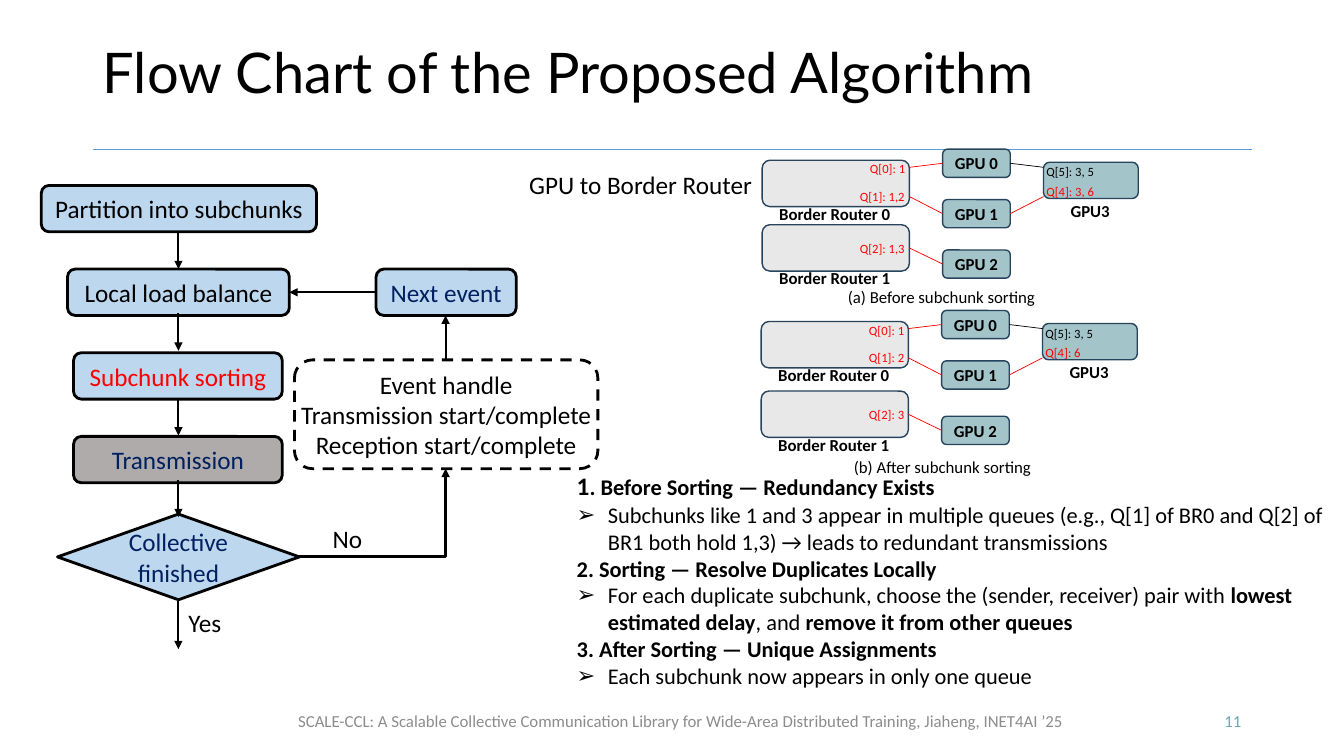
from typing import NamedTuple, Optional

from lxml import etree
from pptx import Presentation
from pptx import util as u
from pptx.dml.color import RGBColor
from pptx.enum import dml, shapes, text
from pptx.oxml.ns import qn

BLACK = RGBColor(0x00, 0x00, 0x00)
WHITE = RGBColor(0xFF, 0xFF, 0xFF)
RED = RGBColor(0xFF, 0x00, 0x00)
NAVY = RGBColor(0x00, 0x20, 0x60)
SKY = RGBColor(0xBD, 0xD7, 0xEE)
GRAY = RGBColor(0xAF, 0xAB, 0xAB)
PALE = RGBColor(0xE8, 0xE8, 0xE8)
TEAL = RGBColor(0xA3, 0xC4, 0xC9)
EDGE = RGBColor(0x28, 0x44, 0x5D)
RULE = RGBColor(0x5B, 0x9B, 0xD5)
FOOT = RGBColor(0x8C, 0x8C, 0x8C)
PAGE = RGBColor(0x6D, 0xA4, 0xBB)

ROUND = shapes.MSO_SHAPE.ROUNDED_RECTANGLE
DIAMOND = shapes.MSO_SHAPE.DIAMOND
LEFT, MID, RIGHT = text.PP_ALIGN.LEFT, text.PP_ALIGN.CENTER, text.PP_ALIGN.RIGHT


class Node(NamedTuple):
    words: str
    box: tuple
    ink: RGBColor = BLACK
    fill: RGBColor = SKY
    form: int = ROUND
    edge: RGBColor = BLACK
    width: float = 2
    size: float = 18
    bold: bool = False
    dash: bool = False


class Link(NamedTuple):
    start: tuple
    end: tuple
    ink: RGBColor = BLACK
    width: float = 1.5
    arrow: bool = True
    bent: bool = False


class Note(NamedTuple):
    words: str
    box: tuple
    size: float = 18
    ink: RGBColor = BLACK
    bold: bool = False
    align: int = LEFT
    fit: bool = True


class Panel(NamedTuple):
    left: float
    top: float
    gap: float
    queues: tuple
    peer: str


def add_run(para, words: str, size: float, ink: RGBColor = BLACK,
            bold: bool = False, face: str = "Calibri") -> None:
    run = para.add_run()
    run.text = words
    font = run.font
    font.name, font.size, font.bold = face, u.Pt(size), bold
    font.color.rgb = ink


def inches(box: tuple) -> list:
    return [u.Inches(v) for v in box]


def draw_node(slide, node: Node) -> None:
    shape = slide.shapes.add_shape(node.form, *inches(node.box))
    shape.shadow.inherit = False
    shape.fill.solid()
    shape.fill.fore_color.rgb = node.fill
    shape.line.color.rgb = node.edge
    shape.line.width = u.Pt(node.width)
    if node.dash:
        shape.line.dash_style = dml.MSO_LINE.DASH
    if not node.words:
        return
    frame = shape.text_frame
    frame.word_wrap = True
    frame.vertical_anchor = text.MSO_ANCHOR.MIDDLE
    frame.margin_left = frame.margin_right = frame.margin_top = frame.margin_bottom = 0
    for i, words in enumerate(node.words.split("\n")):
        para = frame.add_paragraph() if i else frame.paragraphs[0]
        para.alignment = MID
        add_run(para, words, node.size, node.ink, node.bold)


def draw_link(slide, link: Link) -> None:
    line = slide.shapes.add_connector(
        shapes.MSO_CONNECTOR.ELBOW if link.bent else shapes.MSO_CONNECTOR.STRAIGHT,
        *inches(link.start + link.end))
    line.line.color.rgb = link.ink
    line.line.width = u.Pt(link.width)
    props = line._element.spPr
    if link.bent:
        props.find(qn("a:prstGeom")).set("prst", "bentConnector2")
    if link.arrow:
        etree.SubElement(props.find(qn("a:ln")), qn("a:tailEnd"), type="triangle")
    etree.SubElement(props, qn("a:effectLst"))


def draw_note(slide, note: Note) -> None:
    frame = slide.shapes.add_textbox(*inches(note.box)).text_frame
    frame.word_wrap = not note.fit
    if note.fit:
        frame.auto_size = text.MSO_AUTO_SIZE.SHAPE_TO_FIT_TEXT
    else:
        frame.vertical_anchor = text.MSO_ANCHOR.MIDDLE
    para = frame.paragraphs[0]
    para.alignment = note.align
    add_run(para, note.words, note.size, note.ink, note.bold)


def draw_panel(slide, panel: Panel) -> None:
    x, y = panel.left, panel.top
    low = y + panel.gap
    hub, mate = x + 1.46, x + 2.79

    # Routers, then GPUs with their links to the routers
    for i, top in enumerate((y, low)):
        draw_node(slide, Node("", (x, top, 1.46, 0.46), fill=PALE, edge=EDGE, width=1))
        draw_note(slide, Note(f"Border Router {i}", (x + 0.07, top + 0.38, 1.32, 0.3), 12, bold=True))
    ports = (y + 0.07, y + 0.36, low + 0.23)
    for i, (top, port) in enumerate(zip((y - 0.11, y + 0.39, low + 0.25), ports)):
        draw_node(slide, Node(f"GPU {i}", (x + 1.79, top, 0.67, 0.28), fill=TEAL,
                              edge=EDGE, width=1, size=12, bold=True))
        draw_link(slide, Link((hub, port), (x + 1.79, top + 0.14), RED, 0.5, False))

    # Peer GPU
    draw_node(slide, Node("", (mate, y + 0.02, 0.94, 0.36), fill=TEAL, edge=EDGE, width=1))
    draw_note(slide, Note("GPU3", (x + 2.96, y + 0.35, 0.59, 0.3), 12, bold=True))
    draw_link(slide, Link((x + 2.46, y + 0.03), (mate, y + 0.07), BLACK, 0.5, False))
    draw_link(slide, Link((x + 2.46, y + 0.53), (mate, y + 0.36), RED, 0.5, False))

    # Queue labels
    for words, top in zip(panel.queues, (y - 0.04, y + 0.23, low + 0.11)):
        wide = 0.2 + 0.05 * len(words)
        draw_note(slide, Note(words, (x + 1.52 - wide, top, wide, 0.25), 9, RED))
    for words, top, ink in (("Q[5]: 3, 5", y - 0.01, BLACK), (panel.peer, y + 0.18, RED)):
        wide = 0.2 + 0.05 * len(words)
        draw_note(slide, Note(words, (x + 2.72, top, wide, 0.25), 9, ink))


def fill_list(body, items: tuple) -> None:
    frame = body.text_frame
    frame.word_wrap = True
    frame.auto_size = text.MSO_AUTO_SIZE.NONE
    for i, (mark, runs) in enumerate(items):
        para = frame.add_paragraph() if i else frame.paragraphs[0]
        props = para._p.get_or_add_pPr()
        shift = u.Inches(0.31) if mark else 0
        props.set("marL", str(shift))
        props.set("indent", str(-shift))
        if mark:
            etree.SubElement(props, qn("a:buChar"), char=mark)
        else:
            etree.SubElement(props, qn("a:buNone"))
        para.space_before = u.Pt(0)
        for words, size, bold in runs:
            add_run(para, words, size, bold=bold)


FLOW = (
    Node("Partition into subchunks", (0.41, 1.84, 2.73, 0.46)),
    Node("Local load balance", (0.67, 2.67, 2.2, 0.46)),
    Node("Subchunk sorting", (0.73, 3.5, 2.07, 0.46), RED),
    Node("Event handle\nTransmission start/complete\nReception start/complete",
         (2.92, 3.57, 3.01, 1.08), fill=WHITE, dash=True),
    Node("Next event", (3.73, 2.67, 1.39, 0.46), NAVY),
    Node("Collective finished", (0.57, 5.1, 2.4, 0.85), NAVY, form=DIAMOND),
    Node("Transmission", (0.73, 4.33, 2.07, 0.46), NAVY, GRAY),
)
LINKS = tuple(Link((1.77, top), (1.77, top + 0.37)) for top in (2.3, 3.11, 3.95, 4.76)) + (
    Link((1.77, 5.94), (1.77, 6.44)),
    Link((2.97, 5.52), (4.42, 4.65), width=2, bent=True),
    Link((4.42, 3.58), (4.42, 3.13)),
    Link((3.73, 2.9), (2.87, 2.9)),
)
NOTES = (
    Note("Yes", (1.77, 5.98, 0.53, 0.4)),
    Note("No", (3.2, 5.14, 0.5, 0.4)),
    Note("GPU to Border Router", (5.15, 1.63, 2.44, 0.4)),
    Note("(a) Before subchunk sorting", (8.31, 2.8, 2.08, 0.3), 12),
    Note("(b) After subchunk sorting", (8.37, 4.48, 1.98, 0.3), 12),
    Note("SCALE-CCL: A Scalable Collective Communication Library for Wide-Area Distributed "
         "Training, Jiaheng, INET4AI ’25", (1.98, 6.95, 9.55, 0.4), 12, FOOT, align=MID, fit=False),
    Note("11", (11.53, 6.95, 0.88, 0.4), 12, PAGE, align=RIGHT, fit=False),
)
PANELS = (
    Panel(7.56, 1.59, 0.64, ("Q[0]: 1", "Q[1]: 1,2", "Q[2]: 1,3"), "Q[4]: 3, 6"),
    Panel(7.55, 3.19, 0.69, ("Q[0]: 1", "Q[1]: 2", "Q[2]: 3"), "Q[4]: 6"),
)
MARK: Optional[str] = "➢"
STEPS = (
    (None, (("1", 18, True), (". Before Sorting — Redundancy Exists", 16, True))),
    (MARK, (("Subchunks like 1 and 3 appear in multiple queues (e.g., Q[1] of BR0 and Q[2] of BR1 "
             "both hold 1,3) → leads to redundant transmissions", 16, False),)),
    (None, (("2. Sorting — Resolve Duplicates Locally", 16, True),)),
    (MARK, (("For each duplicate subchunk, choose the (sender, receiver) pair with ", 16, False),
            ("lowest estimated delay", 16, True), (", and ", 16, False),
            ("remove it from other queues", 16, True))),
    (None, (("3. After Sorting — Unique Assignments", 16, True),)),
    (MARK, (("Each subchunk now appears in only one queue", 16, False),)),
)


def main() -> None:
    deck = Presentation()
    deck.slide_width, deck.slide_height = u.Inches(13.33), u.Inches(7.5)
    slide = deck.slides.add_slide(deck.slide_layouts[1])

    # Title and list
    title, body = slide.placeholders[0], slide.placeholders[1]
    for holder, box in ((title, (0.92, 0.02, 11.5, 1.45)), (body, (5.62, 4.62, 7.72, 2.29))):
        holder.left, holder.top, holder.width, holder.height = inches(box)
    title.text_frame.vertical_anchor = text.MSO_ANCHOR.MIDDLE
    head = title.text_frame.paragraphs[0]
    head.alignment, head.line_spacing = LEFT, 0.9
    add_run(head, "Flow Chart of the Proposed Algorithm", 40, face="Lato")
    fill_list(body, STEPS)
    draw_link(slide, Link((0.92, 1.48), (12.42, 1.48), RULE, 0.5, False))

    # Flow chart, queue panels and labels
    for node in FLOW:
        draw_node(slide, node)
    for link in LINKS:
        draw_link(slide, link)
    for panel in PANELS:
        draw_panel(slide, panel)
    for note in NOTES:
        draw_note(slide, note)
    deck.save("out.pptx")


if __name__ == "__main__":
    main()
